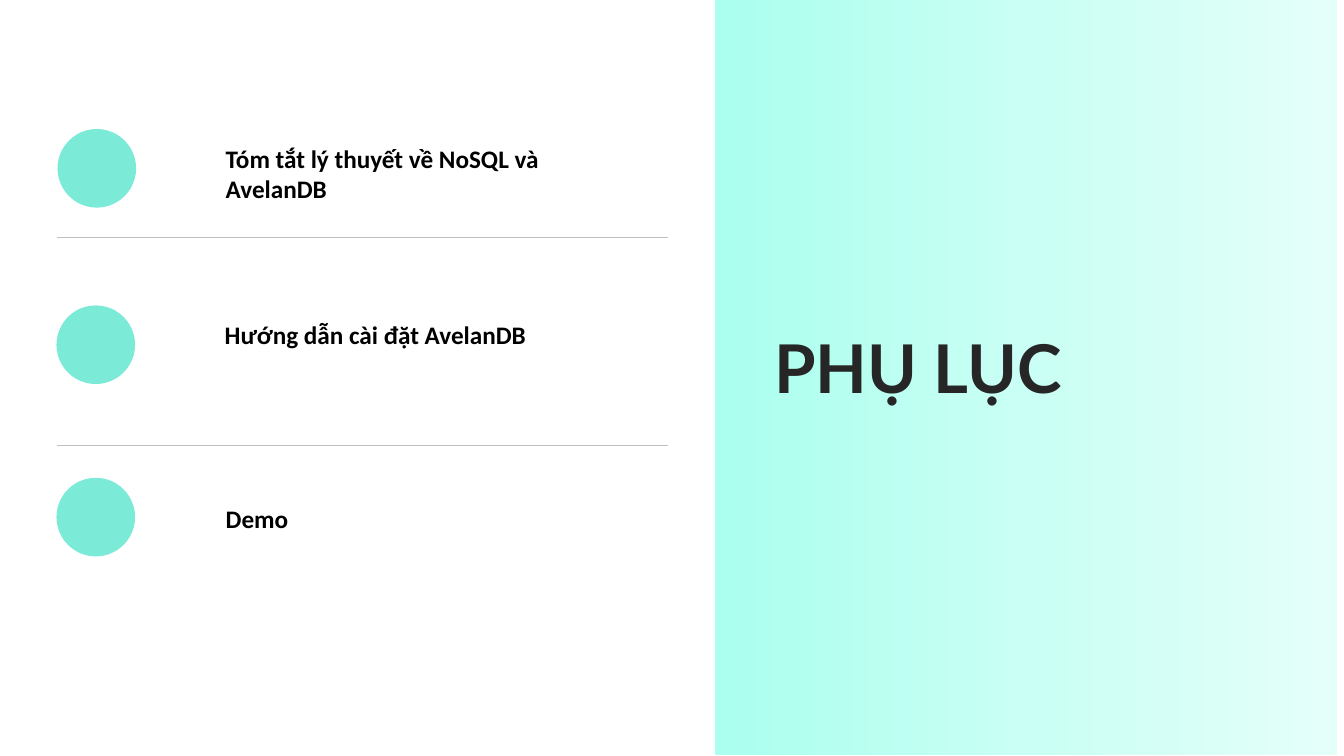
from copy import deepcopy
from typing import NamedTuple

from lxml.etree import SubElement
from pptx import Presentation
from pptx.dml.color import RGBColor
from pptx.enum.shapes import MSO_CONNECTOR, MSO_SHAPE
from pptx.enum.text import MSO_AUTO_SIZE as AutoSize
from pptx.oxml.ns import qn
from pptx.shapes.shapetree import GroupShapes, SlideShapes
from pptx.text.text import TextFrame
from pptx.util import Emu, Pt

EMU_PER_PX = 9144
BLACK = RGBColor(0x00, 0x00, 0x00)
CHARCOAL = RGBColor(0x26, 0x26, 0x26)
RULE_GREY = RGBColor(0xBF, 0xBF, 0xBF)
MINT = RGBColor(0x7B, 0xEB, 0xD8)
PANEL_STOPS = (
    (0, RGBColor(0xAA, 0xFF, 0xEE)),
    (0.5, RGBColor(0xC9, 0xFF, 0xF4)),
    (1, RGBColor(0xE4, 0xFF, 0xF9)),
)
BULLET_SIZE = 78
TOPIC_WIDTH = 359
RULE_LEFT, RULE_RIGHT = 57, 663
RULE_TOPS = (442, 235)


class Topic(NamedTuple):
    wording: str
    bullet_left: int
    bullet_top: int
    text_left: int
    text_top: int
    text_height: int


TOPICS = (
    Topic("Tóm tắt lý thuyết về NoSQL và AvelanDB", 57, 128, 214, 137, 71),
    Topic("Hướng dẫn cài đặt AvelanDB", 56, 303, 213, 312, 40),
    Topic("Demo", 56, 474, 214, 494, 40),
)


def px(length: int) -> Emu:
    return Emu(length * EMU_PER_PX)


def write_bold(frame: TextFrame, wording: str, font_name: str, size: int, color: RGBColor) -> None:
    frame.word_wrap = True
    frame.auto_size = AutoSize.SHAPE_TO_FIT_TEXT
    frame.text = wording
    font = frame.paragraphs[0].runs[0].font
    font.name = font_name
    font.size = Pt(size)
    font.bold = True
    font.color.rgb = color


def draw_panel(shapes: SlideShapes) -> None:
    panel = shapes.add_shape(MSO_SHAPE.RECTANGLE, px(709), px(0), px(617), px(749))
    panel.shadow.inherit = False
    panel.line.fill.background()
    panel.fill.gradient()
    panel.fill.gradient_angle = 0
    stop_list = next(panel._element.iter(qn("a:gsLst")))
    stop_list.insert(1, deepcopy(stop_list[0]))
    for stop, (position, color) in zip(panel.fill.gradient_stops, PANEL_STOPS):
        stop.position = position
        stop.color.rgb = color


def draw_heading(shapes: SlideShapes) -> None:
    heading = shapes.add_textbox(px(768), px(324), px(362), px(81))
    frame = heading.text_frame
    frame.margin_left = frame.margin_top = frame.margin_right = frame.margin_bottom = 0
    write_bold(frame, "PHỤ LỤC", "Lato", 48, CHARCOAL)


def draw_rule(shapes: GroupShapes, top: int) -> None:
    rule = shapes.add_connector(
        MSO_CONNECTOR.STRAIGHT, px(RULE_LEFT), px(top), px(RULE_RIGHT), px(top)
    )
    rule.line.color.rgb = RULE_GREY
    rule.line.width = Pt(0.5)
    SubElement(rule._element.spPr, qn("a:effectLst"))


def draw_topic(shapes: GroupShapes, topic: Topic) -> None:
    bullet = shapes.add_shape(
        MSO_SHAPE.OVAL, px(topic.bullet_left), px(topic.bullet_top), px(BULLET_SIZE), px(BULLET_SIZE)
    )
    bullet.shadow.inherit = False
    bullet.fill.solid()
    bullet.fill.fore_color.rgb = MINT
    bullet.line.fill.background()
    label = shapes.add_textbox(
        px(topic.text_left), px(topic.text_top), px(TOPIC_WIDTH), px(topic.text_height)
    )
    write_bold(label.text_frame, topic.wording, "Calibri", 18, BLACK)


def main() -> None:
    deck = Presentation()
    deck.slide_width, deck.slide_height = px(1333), px(750)
    shapes = deck.slides.add_slide(deck.slide_layouts[6]).shapes
    draw_panel(shapes)
    draw_heading(shapes)
    rules = shapes.add_group_shape().shapes
    for top in RULE_TOPS:
        draw_rule(rules, top)
    for topic in TOPICS:
        draw_topic(shapes.add_group_shape().shapes, topic)
    deck.save("out.pptx")


if __name__ == "__main__":
    main()
